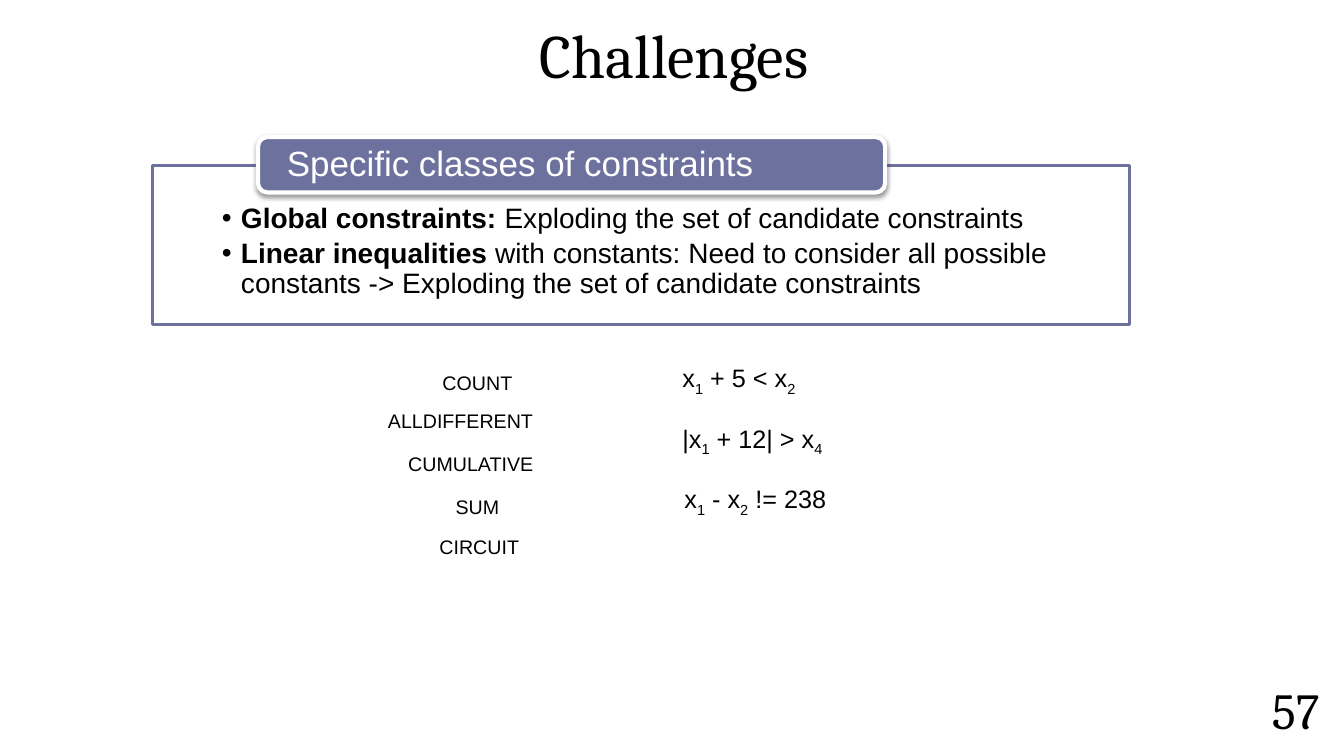
from dataclasses import dataclass

from lxml.etree import SubElement
from pptx import Presentation
from pptx.dml.color import RGBColor
from pptx.enum.shapes import MSO_SHAPE
from pptx.enum.text import MSO_ANCHOR, PP_ALIGN
from pptx.oxml.ns import qn
from pptx.shapes.autoshape import Shape
from pptx.slide import Slide
from pptx.text.text import TextFrame, _Paragraph
from pptx.util import Emu, Inches, Pt

SLIDE_WIDTH = Inches(13.33)
SLIDE_HEIGHT = Inches(7.5)
BLACK = "000000"
WHITE = "FFFFFF"
VIOLET = "6D719E"


@dataclass(frozen=True)
class Area:
    """Position and size in percent of the slide."""
    left: float
    top: float
    width: float
    height: float

    def emu(self) -> tuple[Emu, Emu, Emu, Emu]:
        return (across(self.left), down(self.top),
                across(self.width), down(self.height))


@dataclass(frozen=True)
class Piece:
    text: str
    bold: bool = False
    subscript: bool = False


@dataclass(frozen=True)
class Style:
    size: float
    font: str = "Arial"
    color: str = BLACK


@dataclass(frozen=True)
class Example:
    pieces: tuple[Piece, ...]
    area: Area
    style: Style


def across(percent: float) -> Emu:
    return Emu(round(SLIDE_WIDTH * percent / 100))


def down(percent: float) -> Emu:
    return Emu(round(SLIDE_HEIGHT * percent / 100))


def rgb(value: str) -> RGBColor:
    return RGBColor.from_string(value)


def set_margins(frame: TextFrame, horizontal: float, top: float, bottom: float) -> None:
    frame.margin_left = frame.margin_right = Inches(horizontal)
    frame.margin_top, frame.margin_bottom = Inches(top), Inches(bottom)


def write(paragraph: _Paragraph, pieces: tuple[Piece, ...], style: Style,
          align: PP_ALIGN = PP_ALIGN.LEFT, spacing: float = 1.0) -> None:
    paragraph.alignment = align
    paragraph.line_spacing = spacing
    for piece in pieces:
        run = paragraph.add_run()
        run.text = piece.text
        run.font.name = style.font
        run.font.size = Pt(style.size)
        run.font.bold = piece.bold
        run.font.color.rgb = rgb(style.color)
        if piece.subscript:
            run.font._element.set("baseline", "-25000")


def add_bullet(paragraph: _Paragraph, indent: float) -> None:
    properties = paragraph._p.get_or_add_pPr()
    properties.set("marL", str(Inches(indent)))
    properties.set("indent", str(-Inches(indent)))
    SubElement(properties, qn("a:buFont"), typeface="Arial")
    SubElement(properties, qn("a:buChar"), char="•")


def add_block(slide: Slide, kind: MSO_SHAPE, area: Area, fill: str,
              line: str, line_width: float) -> Shape:
    block = slide.shapes.add_shape(kind, *area.emu())
    block.shadow.inherit = False
    block.fill.solid()
    block.fill.fore_color.rgb = rgb(fill)
    block.line.color.rgb = rgb(line)
    block.line.width = Pt(line_width)
    block.text_frame.word_wrap = True
    return block


def add_shadow(block: Shape) -> None:
    effects = block._element.spPr.find(qn("a:effectLst"))
    shadow = SubElement(effects, qn("a:outerShdw"), blurRad=str(Pt(3.1)),
                        dist=str(Pt(1.6)), dir="5400000", rotWithShape="0")
    tint = SubElement(shadow, qn("a:srgbClr"), val=BLACK)
    SubElement(tint, qn("a:alpha"), val="38000")


def add_title(slide: Slide) -> None:
    title = slide.shapes.title
    title.left, title.top, title.width, title.height = Area(19.95, 0.13, 60.39, 12.67).emu()
    frame = title.text_frame
    set_margins(frame, 0.1, 0.05, 0.05)
    frame.vertical_anchor = MSO_ANCHOR.BOTTOM
    write(frame.paragraphs[0], (Piece("Challenges"),), Style(44, "Cambria"),
          PP_ALIGN.CENTER, 0.9)


def add_page_number(slide: Slide) -> None:
    frame = slide.shapes.add_textbox(*Area(92.65, 90, 7.5, 8.67).emu()).text_frame
    frame.word_wrap = True
    set_margins(frame, 0.05, 0.05, 0.05)
    frame.vertical_anchor = MSO_ANCHOR.MIDDLE
    write(frame.paragraphs[0], (Piece("57"),), Style(36, "Cambria"), PP_ALIGN.CENTER, 0.9)


def add_constraint_panel(slide: Slide) -> None:
    panel = add_block(slide, MSO_SHAPE.RECTANGLE, Area(11.33, 21.87, 72.69, 21.07),
                      WHITE, VIOLET, 2)
    fill_color = panel._element.spPr.find(qn("a:solidFill")).find(qn("a:srgbClr"))
    SubElement(fill_color, qn("a:alpha"), val="90000")
    frame = panel.text_frame
    set_margins(frame, 0.69, 0.39, 0.14)
    frame.vertical_anchor = MSO_ANCHOR.TOP
    for index, pieces in enumerate(CONSTRAINT_CLASSES):
        paragraph = frame.add_paragraph() if index else frame.paragraphs[0]
        write(paragraph, pieces, Style(20), spacing=0.9)
        paragraph.space_after = Pt(3)
        add_bullet(paragraph, 0.19)

    heading = add_block(slide, MSO_SHAPE.ROUNDED_RECTANGLE, Area(19.2, 18.13, 46.66, 7.33),
                        VIOLET, WHITE, 3)
    add_shadow(heading)
    set_margins(heading.text_frame, 0.26, 0, 0)
    heading.text_frame.vertical_anchor = MSO_ANCHOR.MIDDLE
    write(heading.text_frame.paragraphs[0], (Piece("Specific classes of constraints"),),
          Style(25, color=WHITE), spacing=0.9)


def add_example(slide: Slide, example: Example) -> None:
    frame = slide.shapes.add_textbox(*example.area.emu()).text_frame
    frame.word_wrap = False
    write(frame.paragraphs[0], example.pieces, example.style)


def sub(digit: str) -> Piece:
    return Piece(digit, subscript=True)


CONSTRAINT_CLASSES = (
    (Piece("Global constraints: ", bold=True),
     Piece("Exploding the set of candidate constraints")),
    (Piece("Linear inequalities", bold=True),
     Piece(" with constants: Need to consider all possible constants -> "
           "Exploding the set of candidate constraints")),
)

GLOBAL_CONSTRAINTS = [
    Example((Piece(name),), Area(left, top, width, 4.53), Style(14))
    for name, left, top, width in (
        ("COUNT", 32.18, 48.4, 6.75),
        ("ALLDIFFERENT", 28.13, 53.47, 12.38),
        ("CUMULATIVE", 29.63, 59.07, 11.03),
        ("SUM", 33.16, 64.8, 4.8),
        ("CIRCUIT", 31.96, 70.13, 7.5),
    )
]

INEQUALITIES = [
    Example(pieces, Area(left, 47.33 + 8 * row, width, 5.33), Style(18))
    for row, (pieces, left, width) in enumerate((
        ((Piece("x"), sub("1"), Piece(" + 5 < x"), sub("2")), 50.04, 10.73),
        ((Piece("|x"), sub("1"), Piece(" + 12| > x"), sub("4")), 50.04, 12.75),
        ((Piece("x"), sub("1"), Piece(" - x"), sub("2"), Piece(" != 238")), 50.19, 12.3),
    ))
]


def main() -> None:
    deck = Presentation()
    deck.slide_width, deck.slide_height = SLIDE_WIDTH, SLIDE_HEIGHT
    slide = deck.slides.add_slide(deck.slide_layouts[5])
    add_title(slide)
    add_page_number(slide)
    add_constraint_panel(slide)
    for example in GLOBAL_CONSTRAINTS + INEQUALITIES:
        add_example(slide, example)
    deck.save("out.pptx")


if __name__ == "__main__":
    main()
